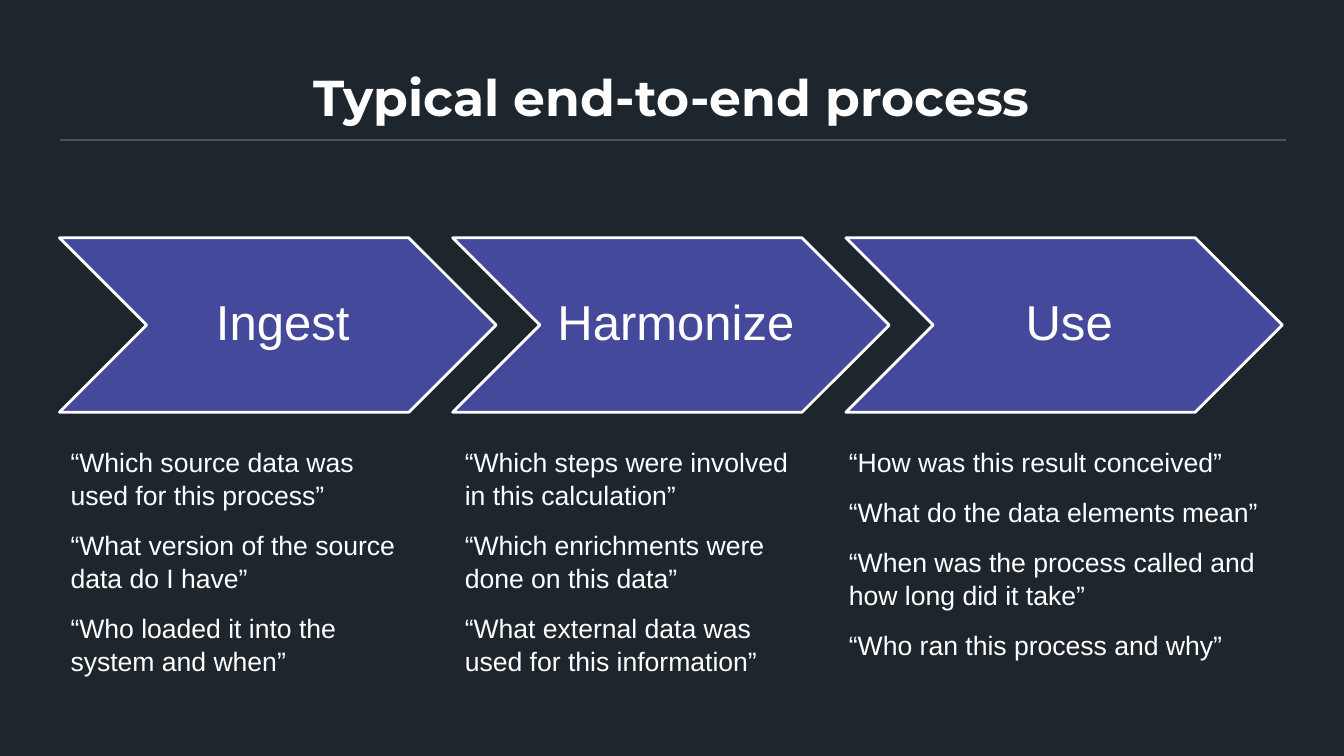
from lxml.etree import SubElement
from pptx import Presentation
from pptx.dml.color import RGBColor
from pptx.enum.shapes import MSO_CONNECTOR as Connector, MSO_SHAPE as Shape
from pptx.enum.text import MSO_ANCHOR as Anchor, MSO_AUTO_SIZE as AutoSize, PP_ALIGN as Align
from pptx.oxml.ns import qn
from pptx.util import Inches, Pt

STAGES = [
    ("Ingest", 0.58, 3.53, [
        "“Which source data was used for this process”",
        "“What version of the source data do I have”",
        "“Who loaded it into the system and when”",
    ]),
    ("Harmonize", 4.49, 3.53, [
        "“Which steps were involved in this calculation”",
        "“Which enrichments were done on this data”",
        "“What external data was used for this information”",
    ]),
    ("Use", 8.3, 4.4, [
        "“How was this result conceived”",
        "“What do the data elements mean”",
        "“When was the process called and how long did it take”",
        "“Who ran this process and why”",
    ]),
]


def color(value):
    return RGBColor.from_string(value)


def write(para, text, size, font="Arial", bold=False, align=Align.LEFT, spacing=None):
    span = para.add_run()
    span.text = text
    span.font.size = Pt(size)
    span.font.name = font
    span.font.bold = bold
    span.font.color.rgb = color(ProcessPage.white)
    para.alignment = align
    para.line_spacing = spacing


def set_frame(frame, anchor=Anchor.TOP, wrap=True, insets=(0, 0, 0, 0)):
    frame.word_wrap = wrap
    frame.auto_size = AutoSize.NONE
    frame.vertical_anchor = anchor
    (frame.margin_left, frame.margin_top,
     frame.margin_right, frame.margin_bottom) = map(Inches, insets)


class ProcessPage:
    """Draws the parts of a process slide in one shared style."""

    background, rule_color, purple, white = "1D252D", "48525A", "44499C", "FFFFFF"

    def __init__(self, deck):
        self.page = deck.slides.add_slide(deck.slide_layouts[5])
        fill = self.page.background.fill
        fill.solid()
        fill.fore_color.rgb = color(self.background)

    def title(self, text, *bounds):
        box = self.page.shapes.title
        box.left, box.top, box.width, box.height = map(Inches, bounds)
        set_frame(box.text_frame, Anchor.MIDDLE)
        write(box.text_frame.paragraphs[0], text, 36, font="Montserrat",
              bold=True, align=Align.CENTER, spacing=Pt(40))

    def rule(self, left, right, top):
        line = self.page.shapes.add_connector(
            Connector.STRAIGHT, *map(Inches, (left, top, right, top)))
        line.line.color.rgb = color(self.rule_color)
        line.line.width = Pt(1)
        SubElement(line._element.spPr, qn("a:effectLst"))

    def chevron(self, text, *bounds):
        arrow = self.page.shapes.add_shape(Shape.CHEVRON, *map(Inches, bounds))
        arrow.shadow.inherit = False
        arrow.fill.solid()
        arrow.fill.fore_color.rgb = color(self.purple)
        arrow.line.color.rgb = color(self.white)
        arrow.line.width = Pt(2)
        set_frame(arrow.text_frame, Anchor.MIDDLE, False, (0.15, 0.05, 0.05, 0.05))
        write(arrow.text_frame.paragraphs[0], text, 35, align=Align.CENTER, spacing=0.9)

    def questions(self, lines, *bounds):
        box = self.page.shapes.add_textbox(*map(Inches, bounds))
        frame = box.text_frame
        set_frame(frame)
        for index, text in enumerate(lines):
            para = frame.add_paragraph() if index else frame.paragraphs[0]
            para._p.get_or_add_pPr().set("marL", str(Inches(0.12)))
            para.space_before = Pt(6 if index else 0)
            para.space_after = Pt(6)
            write(para, text, 19, spacing=1.04)


def main():
    deck = Presentation()
    deck.slide_width, deck.slide_height = Inches(13.33), Inches(7.5)
    page = ProcessPage(deck)
    page.rule(0.6, 12.75, 1.39)
    page.title("Typical end-to-end process", 0.6, 0.66, 12.13, 0.64)
    for index, (name, left, width, lines) in enumerate(STAGES):
        page.chevron(name, 0.59 + 3.9 * index, 2.36, 4.33, 1.73)
        page.questions(lines, left, 4.41, width, 1.92)
    deck.save("out.pptx")


if __name__ == "__main__":
    main()
